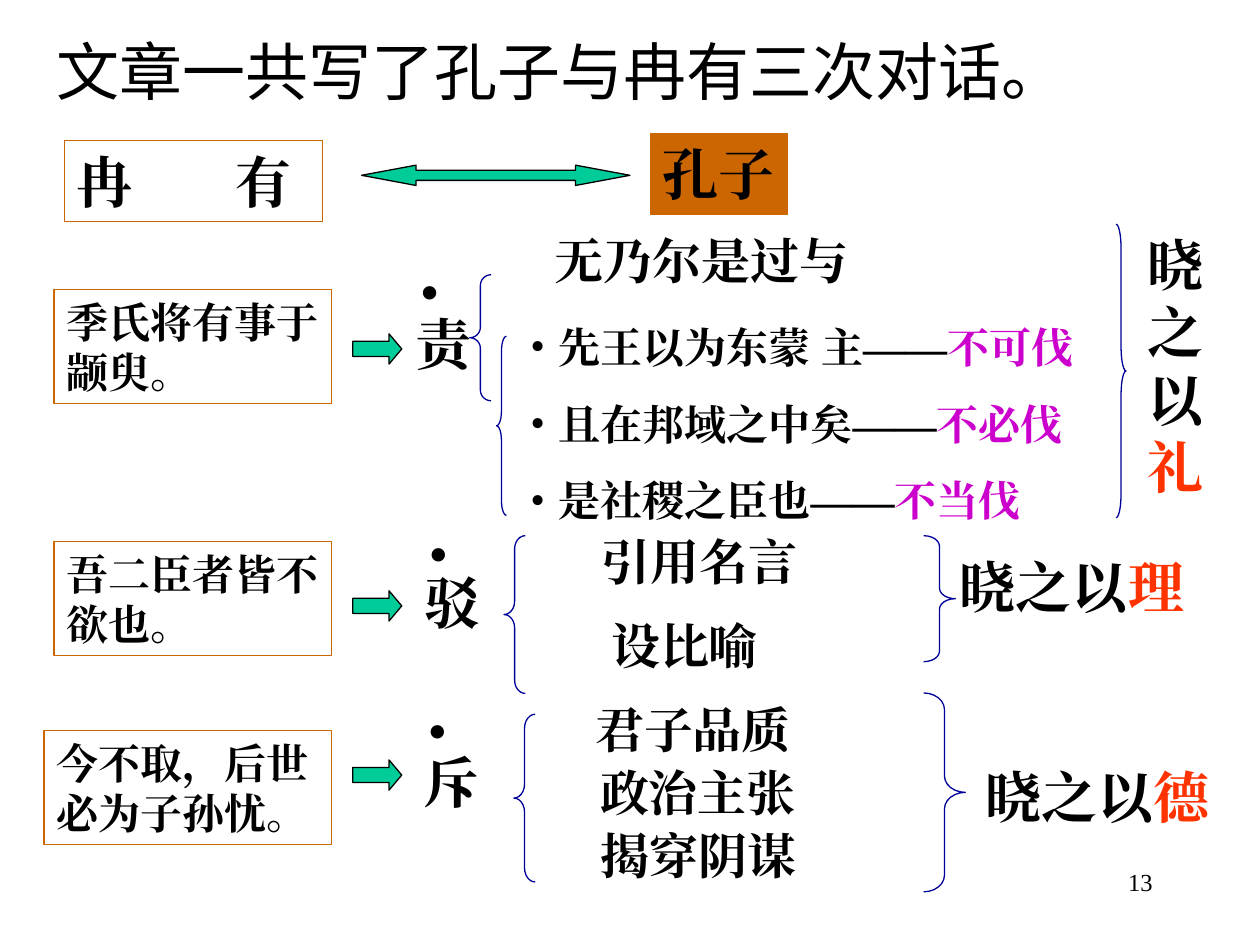
from lxml import etree
from pptx import Presentation, util as u
from pptx.dml.color import RGBColor
from pptx.enum import shapes, text
from pptx.oxml.ns import qn

COLORS = {"ink": "000000", "purple": "CC00CC", "red": "FF3300",
          "orange": "CC6600", "green": "00CC99", "navy": "000099"}
LEFT, CENTER, RIGHT = text.PP_ALIGN.LEFT, text.PP_ALIGN.CENTER, text.PP_ALIGN.RIGHT
SERIF, SANS = "Times New Roman", "Noto Sans CJK SC"

# Every position is left, top, width, height in centimetres.
TITLE = ("文章一共写了孔子与冉有三次对话。", (0.89, 0.53, 21.18, 1.78))
ARGUMENTS_AT = (10.44, 6.35, 13.08, 4.37)
ARGUMENTS = [("先王以为东蒙 主——", "不可伐"),
             ("且在邦域之中矣——", "不必伐"),
             ("是社稷之臣也——", "不当伐")]
RAN_YOU = ("冉\t有", (1.3, 2.84, 5.21, 1.63))
CONFUCIUS = ("孔子", (13.11, 2.69, 2.77, 1.63))
CLAIMS = [("季氏将有事于颛臾。", (1.09, 5.84, 5.59, 2.29)),
          ("吾二臣者皆不欲也。", (1.09, 10.92, 5.59, 2.29)),
          ("今不取，后世必为子孙忧。", (0.89, 14.73, 5.79, 2.29))]
REPLIES = [("责", (7.87, 5.72, 1.85, 2.11), True),
           ("驳", (8.05, 11, 1.85, 1.91), True),
           ("斥", (8.03, 14.55, 1.85, 1.78), False)]
POINTS = [("无乃尔是过与", (9.3, 4.52, 9.68, 1.45), CENTER),
          ("引用名言", (10.8, 10.59, 6.6, 1.45), CENTER),
          ("设比喻", (12.07, 12.27, 5.72, 1.45), LEFT),
          ("君子品质", (10.16, 13.97, 7.62, 1.45), CENTER),
          ("政治主张", (10.36, 15.24, 7.42, 1.45), CENTER),
          ("揭穿阴谋", (11, 16.51, 6.15, 1.45), CENTER)]
CONCLUSIONS = [("礼", (22.5, 4.52, 2.39, 5.69)),
               ("理", (17.15, 11, 8.92, 1.63)),
               ("德", (18.85, 15.24, 6.55, 1.63))]
LEFT_BRACES = [(9.47, 5.54, 0.43, 2.54), (10.01, 6.78, 0.2, 3.61),
               (10.16, 10.8, 0.43, 3.18), (10.36, 14.4, 0.43, 3.38)]
RIGHT_BRACES = [(22.5, 4.52, 0.2, 5.92), (18.62, 10.8, 0.64, 2.54),
                (18.62, 13.97, 0.84, 4.01)]
ARROW_TOPS = [6.73, 11.91, 15.32]
DOUBLE_ARROW = (7.29, 3.33, 5.41, 0.41)
PAGE_NUMBER = ("13", (18.21, 17.35, 5.28, 1.27))


def rgb(name):
    return RGBColor.from_string(COLORS[name])


def cm(at):
    return [u.Cm(v) for v in at]


def place(sp, at):
    sp.left, sp.top, sp.width, sp.height = cm(at)


def add_bullet(p, indent):
    pPr = p._p.get_or_add_pPr()
    pPr.set("marL", str(u.Cm(indent)))
    pPr.set("indent", str(-u.Cm(indent)))
    etree.SubElement(pPr, qn("a:buFont"), typeface=SERIF)
    etree.SubElement(pPr, qn("a:buChar"), char="•")


def add_tab(p, position):
    tabs = etree.SubElement(p._p.get_or_add_pPr(), qn("a:tabLst"))
    etree.SubElement(tabs, qn("a:tab"), pos=str(u.Cm(position)), algn="l")


def write(sp, *paragraphs, size=32, bold=True, font=SERIF, align=LEFT, before=0,
          wrap=True, bullet=None, tab=None, vertical=False):
    """Fill sp; each paragraph is a list of (words, colour name) runs."""
    tf = sp.text_frame
    tf.word_wrap, tf.auto_size = wrap, text.MSO_AUTO_SIZE.NONE
    tf.vertical_anchor = text.MSO_ANCHOR.TOP
    x, y = (0.13, 0.25) if vertical else (0.25, 0.13)
    tf.margin_left = tf.margin_right = u.Cm(x)
    tf.margin_top = tf.margin_bottom = u.Cm(y)
    if vertical:
        tf._txBody.bodyPr.set("vert", "eaVert")
    for i, runs in enumerate(paragraphs):
        p = tf.add_paragraph() if i else tf.paragraphs[0]
        p.alignment = align
        p.space_before = u.Pt(before if i else 0)
        if bullet is not None:
            add_bullet(p, bullet)
        if tab:
            add_tab(p, tab)
        for words, color in runs:
            r = p.add_run()
            r.text = words
            r.font.name, r.font.size, r.font.bold = font, u.Pt(size), bold
            r.font.color.rgb = rgb(color)
            etree.SubElement(r._r.get_or_add_rPr(), qn("a:ea"), typeface=font)


def add_shape(s, kind, at, line, fill=None, adjust=()):
    sp = s.shapes.add_shape(kind, *cm(at))
    sp.shadow.inherit = False
    if fill:
        sp.fill.solid()
        sp.fill.fore_color.rgb = rgb(fill)
    else:
        sp.fill.background()
    sp.line.color.rgb, sp.line.width = rgb(line), u.Pt(0.75)
    for i, value in enumerate(adjust):
        sp.adjustments[i] = value
    return sp


def add_text(s, words, at, **fmt):
    write(s.shapes.add_textbox(*cm(at)), [(words, "ink")], **fmt)


def main():
    kinds = shapes.MSO_SHAPE
    prs = Presentation()
    prs.slide_width, prs.slide_height = u.Cm(25.4), u.Cm(19.05)
    s = prs.slides.add_slide(prs.slide_layouts[1])
    title, body = s.placeholders

    place(title, TITLE[1])
    write(title, [(TITLE[0], "ink")], size=36, bold=False, font=SANS)
    place(body, ARGUMENTS_AT)
    write(body, *[[(quote, "ink"), (verdict, "purple")] for quote, verdict in ARGUMENTS],
          size=24, before=15, bullet=0.57)

    for words, at, wrap in REPLIES:
        add_text(s, words, at, align=CENTER, wrap=wrap, bullet=0, vertical=True)
    for words, at, align in POINTS:
        add_text(s, words, at, size=28, align=align)

    for kind, places in ((kinds.LEFT_BRACE, LEFT_BRACES), (kinds.RIGHT_BRACE, RIGHT_BRACES)):
        for at in places:
            curl = at[3] / 12 / at[2]  # each curl is a twelfth of the height
            add_shape(s, kind, at, "navy", adjust=(curl, 0.5))

    for word, at in CONCLUSIONS:
        write(s.shapes.add_textbox(*cm(at)), [("晓之以", "ink"), (word, "red")], align=CENTER)

    for words, at in CLAIMS:
        write(add_shape(s, kinds.RECTANGLE, at, "orange"), [(words, "ink")], size=24)
    write(add_shape(s, kinds.RECTANGLE, RAN_YOU[1], "orange"), [(RAN_YOU[0], "ink")], tab=3.2)
    write(add_shape(s, kinds.RECTANGLE, CONFUCIUS[1], "orange", "orange"),
          [(CONFUCIUS[0], "ink")], wrap=False)

    for top in ARROW_TOPS:
        add_shape(s, kinds.RIGHT_ARROW, (7.11, top, 0.99, 0.61), "ink", "green", (0.5, 0.42))
    add_shape(s, kinds.LEFT_RIGHT_ARROW, DOUBLE_ARROW, "ink", "green", (0.5, 2.68))

    add_text(s, *PAGE_NUMBER, size=14, bold=False, align=RIGHT)
    prs.save("out.pptx")


if __name__ == "__main__":
    main()
